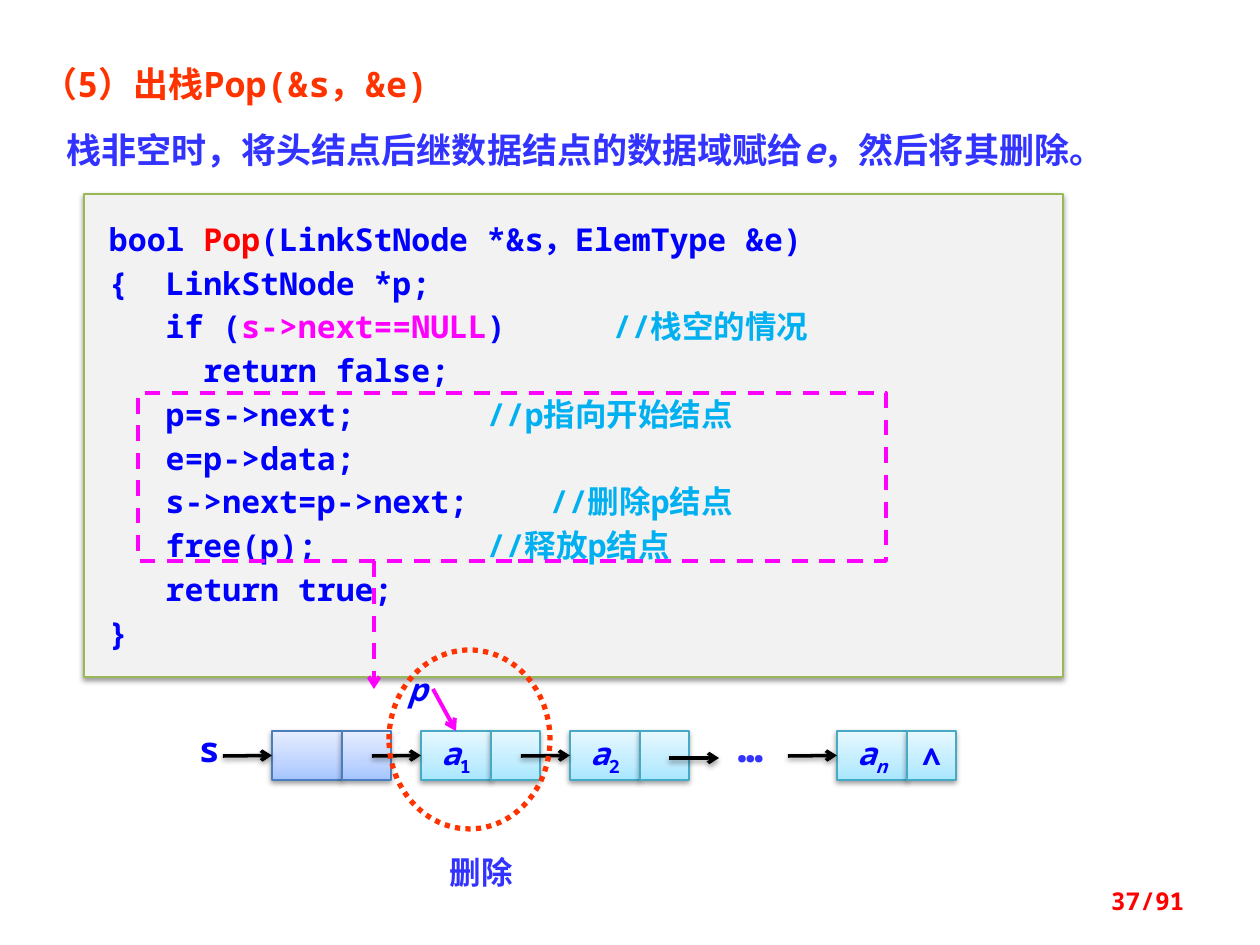
import copy
import pptx
import pptx.util
import pptx.dml.color
import pptx.enum.dml
import pptx.enum.shapes
import pptx.enum.text
import pptx.oxml
import pptx.oxml.ns

SCALE = 914400 / 126
MONO = "Noto Sans Mono"
HAN = "Noto Sans CJK SC"
BLUE, INDIGO, SKY = "0000FF", "3333FF", "00B0F0"
MAGENTA, RED, ORANGE, BLACK = "FF00FF", "FF0000", "FF3300", "000000"
HEAD_STYLE = (["A4C4FF", "BFD4FF", "E6EEFF"], "4B7EBC")
DATA_STYLE = (["A7E6FF", "C1EDFF", "E7F8FF"], "46AAC5")
ALIGN = pptx.enum.text.PP_ALIGN
ANCHOR = pptx.enum.text.MSO_ANCHOR
DASH = pptx.enum.dml.MSO_LINE
SHAPE = pptx.enum.shapes.MSO_SHAPE

CODE_LINES = [
    [("bool ", BLUE), ("Pop", RED), ("(LinkStNode *&s，ElemType &e)", BLUE)],
    [("{  LinkStNode *p;", BLUE)],
    [("   if (", BLUE), ("s->next==NULL", MAGENTA), (")\t\t", BLUE), ("//栈空的情况", SKY)],
    [("     return false;", BLUE)],
    [("   p=s->next;\t\t\t", BLUE), ("//p指向开始结点", SKY)],
    [("   e=p->data;", BLUE)],
    [("   s->next=p->next;\t\t", BLUE), ("//删除p结点", SKY)],
    [("   free(p);\t\t\t", BLUE), ("//释放p结点", SKY)],
    [("   return true;", BLUE)],
    [("}", BLUE)],
]


def px(length):
    return pptx.util.Emu(round(length * SCALE))


def color(value):
    return pptx.dml.color.RGBColor.from_string(value)


def add_span(para, text, size, tint, italic=False, subscript=False, font=MONO):
    span = para.add_run()
    span.text = text
    span.font.name = font
    span.font.size = pptx.util.Pt(size)
    span.font.bold = True
    span.font.italic = italic
    span.font.color.rgb = color(tint)
    properties = span.font._element
    if subscript:
        properties.set("baseline", "-25000")
    east_asian = pptx.oxml.parse_xml(
        f'<a:ea {pptx.oxml.ns.nsdecls("a")} typeface="{HAN}"/>')
    properties.find(pptx.oxml.ns.qn("a:latin")).addnext(east_asian)


def add_text_box(page, left, top, width, height):
    box = page.shapes.add_textbox(px(left), px(top), px(width), px(height))
    box.text_frame.word_wrap = True
    return box


def add_label(page, bounds, text, size, tint, align=ALIGN.CENTER, italic=False, font=MONO):
    box = add_text_box(page, *bounds)
    para = box.text_frame.paragraphs[0]
    para.alignment = align
    add_span(para, text, size, tint, italic, font=font)
    return box


def add_shadow(properties):
    effects = properties.find(pptx.oxml.ns.qn("a:effectLst"))
    effects.append(pptx.oxml.parse_xml(
        f'<a:outerShdw {pptx.oxml.ns.nsdecls("a")} blurRad="39370" dist="20320" '
        'dir="5400000" rotWithShape="0"><a:srgbClr val="000000">'
        '<a:alpha val="38000"/></a:srgbClr></a:outerShdw>'))


def add_outline(page, kind, bounds, tint, weight, dash=None):
    shape = page.shapes.add_shape(kind, *map(px, bounds))
    shape.shadow.inherit = False
    shape.fill.background()
    shape.line.color.rgb = color(tint)
    shape.line.width = pptx.util.Pt(weight)
    if dash:
        shape.line.dash_style = dash
    return shape


def add_arrow(page, start, end, tint, weight, dash=None, shadow=False, target=None, site=1):
    arrow = page.shapes.add_connector(
        pptx.enum.shapes.MSO_CONNECTOR.STRAIGHT, *map(px, start + end))
    if target is not None:
        arrow.end_connect(target, site)
    arrow.line.color.rgb = color(tint)
    arrow.line.width = pptx.util.Pt(weight)
    if dash:
        arrow.line.dash_style = dash
    line = arrow.line._get_or_add_ln()
    namespace = pptx.oxml.ns.nsdecls("a")
    line.append(pptx.oxml.parse_xml(f'<a:tailEnd {namespace} type="arrow"/>'))
    properties = arrow._element.spPr
    properties.append(pptx.oxml.parse_xml(f'<a:effectLst {namespace}/>'))
    if shadow:
        add_shadow(properties)


def add_cell(page, left, width, style, spans=()):
    tints, edge = style
    cell = add_outline(page, SHAPE.RECTANGLE, (left, 731, width, 49), edge, 0.75)
    cell.fill.gradient()
    cell.fill.gradient_angle = 90
    stops = cell._element.spPr.find(".//" + pptx.oxml.ns.qn("a:gsLst"))
    stops.append(copy.deepcopy(stops[0]))
    for stop, position, tint in zip(cell.fill.gradient_stops, (0, 0.35, 1), tints):
        stop.position = position
        stop.color.rgb = color(tint)
    add_shadow(cell._element.spPr)
    if spans:
        frame = cell.text_frame
        frame.word_wrap = False
        frame.vertical_anchor = ANCHOR.MIDDLE
        frame.paragraphs[0].alignment = ALIGN.CENTER
        for text, italic, subscript in spans:
            add_span(frame.paragraphs[0], text, 18, BLUE, italic, subscript)
    return cell


def add_node(page, left, style, data=(), link=()):
    data_cell = add_cell(page, left, 70, style, data)
    add_cell(page, left + 70, 49, style, link)
    add_arrow(page, (left - 49, 756), (left, 756), BLACK, 2, shadow=True, target=data_cell)
    return data_cell


def add_heading(page):
    frame = add_text_box(page, 30, 71, 1210, 107).text_frame
    title = frame.paragraphs[0]
    title.alignment = ALIGN.JUSTIFY
    title.line_spacing = 0.6
    add_span(title, "（5）出栈Pop(&s，&e)", 20, ORANGE)
    summary = frame.add_paragraph()
    summary.alignment = ALIGN.JUSTIFY
    summary.line_spacing = 1.2
    summary.space_before = pptx.util.Pt(10)
    summary._p.get_or_add_pPr().set("marL", str(px(24)))
    add_span(summary, "栈非空时，将头结点后继数据结点的数据域赋给", 20, INDIGO)
    add_span(summary, "e", 20, INDIGO, italic=True)
    add_span(summary, "，然后将其删除。", 20, INDIGO)


def add_code(page):
    panel = add_outline(page, SHAPE.RECTANGLE, (84, 194, 979, 483), "98B955", 0.75)
    panel.fill.solid()
    panel.fill.fore_color.rgb = color("F2F2F2")
    add_shadow(panel._element.spPr)
    frame = panel.text_frame
    frame.word_wrap = True
    frame.vertical_anchor = ANCHOR.TOP
    frame.margin_left, frame.margin_top = px(25), px(20)
    frame.margin_right, frame.margin_bottom = px(13), px(25)
    for index, line in enumerate(CODE_LINES):
        para = frame.add_paragraph() if index else frame.paragraphs[0]
        para.alignment = ALIGN.LEFT
        para.line_spacing = pptx.util.Pt(25)
        for text, tint in line:
            add_span(para, text, 18, tint)


def add_linked_list(page):
    add_node(page, 272, HEAD_STYLE)
    add_label(page, (185, 721, 49, 54), "s", 20, BLUE)
    first = add_node(page, 421, DATA_STYLE, [("a", True, False), ("1", False, True)])
    add_node(page, 570, DATA_STYLE, [("a", True, False), ("2", False, True)])
    add_node(page, 837, DATA_STYLE, [("a", True, False), ("n", True, True)],
             [("∧", False, False)])
    add_arrow(page, (669, 758), (719, 758), BLACK, 2, shadow=True)
    add_label(page, (716, 714, 69, 63), "…", 24, INDIGO)
    return first


def add_removal(page, first):
    add_outline(page, SHAPE.OVAL, (389, 650, 161, 179), ORANGE, 3, DASH.ROUND_DOT)
    add_label(page, (413, 847, 137, 50), "删除", 18, INDIGO, font=HAN)
    add_arrow(page, (433, 689), (456, 731), MAGENTA, 2.25, target=first, site=0)
    add_label(page, (393, 664, 49, 50), "p", 18, BLUE, italic=True)
    add_outline(page, SHAPE.RECTANGLE, (138, 393, 748, 168), MAGENTA, 2.25, DASH.DASH)
    add_arrow(page, (374, 561), (374, 689), MAGENTA, 2.25, DASH.DASH)


def main():
    deck = pptx.Presentation()
    deck.slide_width, deck.slide_height = px(1260), px(945)
    page = deck.slides.add_slide(deck.slide_layouts[6])
    add_heading(page)
    add_code(page)
    first = add_linked_list(page)
    add_removal(page, first)
    number = add_label(page, (903, 876, 294, 50), "37/91", 14, RED, ALIGN.RIGHT)
    number.text_frame.vertical_anchor = ANCHOR.MIDDLE
    deck.save("out.pptx")


if __name__ == "__main__":
    main()
